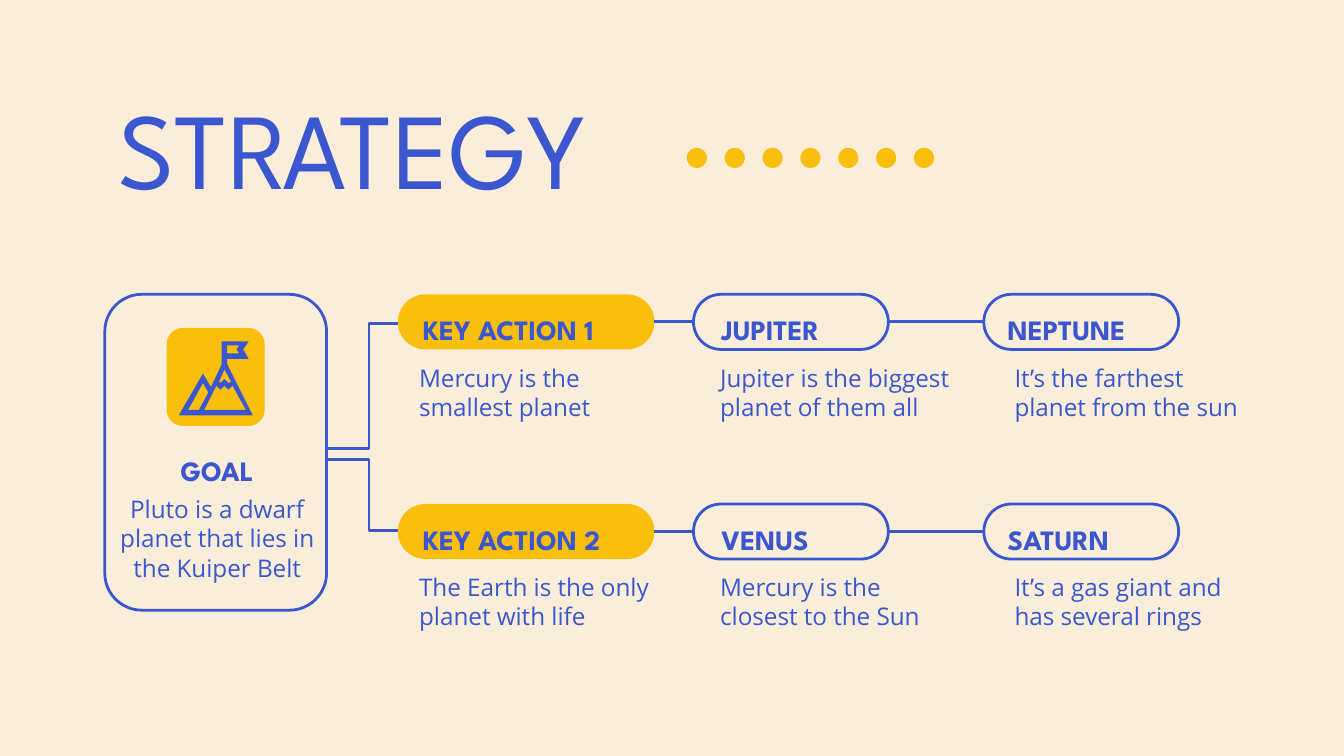
from lxml.etree import SubElement
from pptx import Presentation
from pptx.dml.color import RGBColor
from pptx.enum.shapes import MSO_CONNECTOR, MSO_SHAPE
from pptx.enum.text import MSO_ANCHOR, MSO_AUTO_SIZE, PP_ALIGN
from pptx.oxml.ns import qn
from pptx.util import Inches, Pt

BLUE = RGBColor(0x3B, 0x57, 0xCF)
GOLD = RGBColor(0xFA, 0xBE, 0x0C)
CREAM = RGBColor(0xFA, 0xED, 0xD9)
HEAD, BODY = "League Spartan", "Open Sans"

TITLE = "STRATEGY"
GOAL = ("GOAL", "Pluto is a dwarf planet that lies in the Kuiper Belt")
ROWS = [
    [("KEY ACTION 1", "Mercury is the smallest planet"),
     ("JUPITER", "Jupiter is the biggest planet of them all"),
     ("NEPTUNE", "It’s the farthest planet from the sun")],
    [("KEY ACTION 2", "The Earth is the only planet with life"),
     ("VENUS", "Mercury is the closest to the Sun"),
     ("SATURN", "It’s a gas giant and has several rings")],
]
# Each column: pill left, pill width, label left, note left, filled
COLS = [(2.96, 1.91, 3.05, 3.02, True),
        (5.16, 1.45, 5.27, 5.26, False),
        (7.32, 1.45, 7.40, 7.45, False)]
TOP, STEP, PILL = 2.19, 1.56, 0.41
FORKS = [(3.34, 2.41), (3.42, 3.95)]
DOTS, DOT_X, DOT_END, DOT_Y, DOT = 7, 5.11, 6.80, 1.10, 0.15

# Outlines of the mountain icon, in hundredths of an inch
PEAKS = [
    [(178, 257), (176, 260), (178, 263), (169, 263), (169, 257)],
    [(167, 275), (172, 284), (170, 285), (167, 282), (164, 285), (163, 284)],
    [(151, 285), (155, 292), (148, 305), (140, 305)],
    [(167, 287), (170, 290), (173, 287), (183, 305), (152, 305), (161, 287),
     (164, 290)],
    [(165, 254), (165, 271), (157, 288), (151, 278), (133, 309), (188, 309),
     (169, 271), (169, 267), (185, 267), (181, 260), (185, 254)],
]

deck = Presentation()
deck.slide_width = Inches(10)
deck.slide_height = Inches(10) * 9 // 16
slide = deck.slides.add_slide(deck.slide_layouts[5])
slide.background.fill.solid()
slide.background.fill.fore_color.rgb = CREAM
shapes = slide.shapes


def paint(shape, fill=None, line=None):
    shape.shadow.inherit = False
    if fill is None:
        shape.fill.background()
    else:
        shape.fill.solid()
        shape.fill.fore_color.rgb = fill
    if line is None:
        shape.line.fill.background()
    else:
        shape.line.color.rgb = line
        shape.line.width = Pt(1.5)


def add_box(kind, x, y, w, h, fill=None, line=None, round_by=None):
    box = shapes.add_shape(kind, Inches(x), Inches(y), Inches(w), Inches(h))
    if round_by is not None:
        box.adjustments[0] = round_by
    paint(box, fill, line)
    return box


def style(frame, text, size, font, bold=False, align=PP_ALIGN.LEFT):
    frame.text = text
    frame.word_wrap = True
    frame.auto_size = MSO_AUTO_SIZE.NONE
    frame.vertical_anchor = MSO_ANCHOR.TOP
    frame.margin_left = frame.margin_right = Inches(0.1)
    frame.margin_top = frame.margin_bottom = Inches(0.1)
    para = frame.paragraphs[0]
    para.alignment = align
    para.line_spacing = 1.15 if font == HEAD else 1.0
    para.space_before, para.space_after = Pt(0), Pt(16)
    face = para.runs[0].font
    face.name, face.size, face.bold = font, Pt(size), bold
    face.color.rgb = BLUE


def add_text(text, x, y, w, h, head=False, align=PP_ALIGN.LEFT):
    box = shapes.add_textbox(Inches(x), Inches(y), Inches(w), Inches(h))
    size, font = (15, HEAD) if head else (13, BODY)
    style(box.text_frame, text, size, font, head, align)


def add_link(kind, x1, y1, x2, y2):
    link = shapes.add_connector(kind, Inches(x1), Inches(y1), Inches(x2), Inches(y2))
    link.line.color.rgb = BLUE
    link.line.width = Pt(1.5)
    SubElement(link._element.spPr, qn("a:effectLst"))
    return link


def add_icon():
    pen = shapes.build_freeform(*PEAKS[0][0], scale=Inches(0.01))
    for i, (first, *rest) in enumerate(PEAKS):
        if i:
            pen.move_to(*first)
        pen.add_line_segments(rest, close=True)
    paint(pen.convert_to_shape(), BLUE)


# Title and dots
title = shapes.title
title.left, title.top = Inches(0.78), Inches(0.36)
title.width, title.height = Inches(8.44), Inches(1.06)
style(title.text_frame, TITLE, 58, HEAD)
gap = (DOT_END - DOT_X) / (DOTS - 1)
for i in range(DOTS):
    add_box(MSO_SHAPE.OVAL, DOT_X + i * gap, DOT_Y, DOT, DOT, GOLD)

# Goal card
add_box(MSO_SHAPE.ROUNDED_RECTANGLE, 0.78, TOP, 1.65, 2.35, line=BLUE, round_by=0.167)
add_box(MSO_SHAPE.ROUNDED_RECTANGLE, 1.24, 2.44, 0.73, 0.73, GOLD, round_by=0.167)
add_icon()
add_text(GOAL[0], 0.79, 3.24, 1.65, 0.33, True, PP_ALIGN.CENTER)
add_text(GOAL[1], 0.79, 3.58, 1.65, 0.83, False, PP_ALIGN.CENTER)
for start, end in FORKS:
    add_link(MSO_CONNECTOR.ELBOW, 2.44, start, 3.05, end)

# Rows of actions
for i, row in enumerate(ROWS):
    y = TOP + i * STEP
    last = None
    for (label, note), (x, w, label_x, note_x, full) in zip(row, COLS):
        pill = add_box(MSO_SHAPE.ROUNDED_RECTANGLE, x, y, w, PILL,
                       GOLD if full else None, None if full else BLUE, 0.5)
        add_text(label, label_x, y, 1.74, PILL, True)
        add_text(note, note_x, y + PILL, 1.91, 0.52)
        if last is not None:
            link = add_link(MSO_CONNECTOR.STRAIGHT, x, y, x, y)
            link.begin_connect(last, 3)
            link.end_connect(pill, 1)
        last = pill

deck.save("out.pptx")
